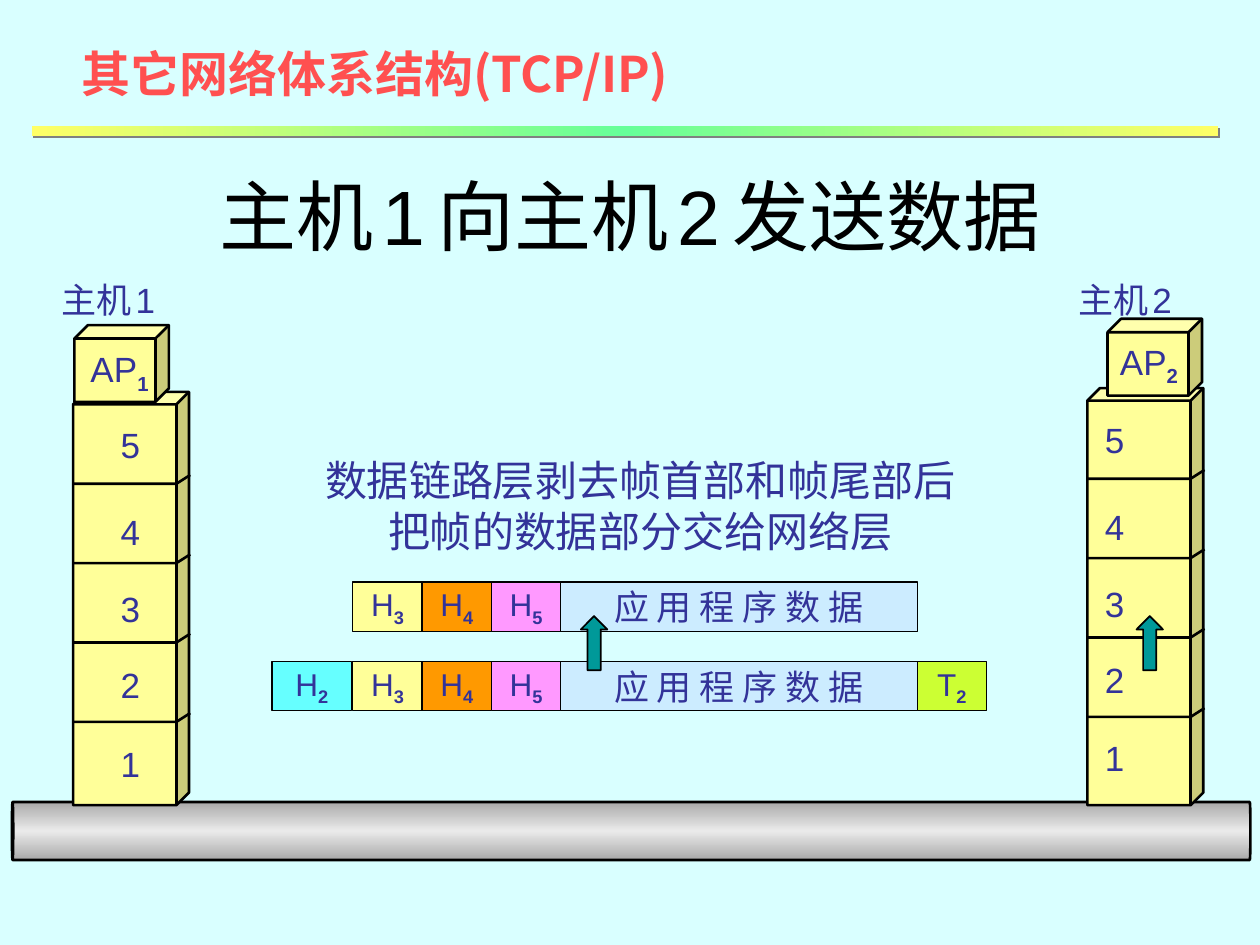
"""Build a slide on host 1 sending data to host 2 through the TCP/IP layers."""
from copy import deepcopy

from lxml import etree
from pptx import Presentation
from pptx.dml.color import RGBColor
from pptx.enum.shapes import MSO_SHAPE
from pptx.enum.text import MSO_ANCHOR, MSO_AUTO_SIZE, PP_ALIGN
from pptx.oxml.ns import qn
from pptx.util import Inches, Pt

RECTANGLE, CUBE, CAN, UP_ARROW = (
    MSO_SHAPE.RECTANGLE, MSO_SHAPE.CUBE, MSO_SHAPE.CAN, MSO_SHAPE.UP_ARROW)
LEFT, CENTER = PP_ALIGN.LEFT, PP_ALIGN.CENTER
MIDDLE = MSO_ANCHOR.MIDDLE
GROW = MSO_AUTO_SIZE.SHAPE_TO_FIT_TEXT

COLORS = {
    "background": "D9FFFF", "ink": "333399", "black": "000000", "heading": "FF5050",
    "block": "FFFF99", "orange": "FF9900", "pink": "FF99FF", "data": "CCECFF",
    "cyan": "66FFFF", "lime": "CCFF33", "arrow": "009999",
    "rule_edge": "FFFF66", "rule_middle": "66FF99",
    "cable_edge": "AAAAAA", "cable_middle": "EAEAEA", "shadow": "808080",
}
COLORS_RGB = {name: RGBColor.from_string(value) for name, value in COLORS.items()}


def add_block(shapes, kind, place, color, line_width):
    block = shapes.add_shape(kind, *[Inches(value) for value in place])
    block.shadow.inherit = False
    block.fill.solid()
    block.fill.fore_color.rgb = COLORS_RGB[color]
    block.line.color.rgb = COLORS_RGB["black"]
    block.line.width = Pt(line_width)
    return block


def write(box, text, size, align=LEFT, color="ink", font="Arial", gap=None):
    frame = box.text_frame
    frame.word_wrap = False
    for number, line in enumerate(text.split("\n")):
        para = frame.paragraphs[0] if number == 0 else frame.add_paragraph()
        para.alignment = align
        para.font.size = Pt(size)
        para.font.name = font
        para.font.color.rgb = COLORS_RGB[color]
        base, _, subscript = line.partition("_")
        for index, word in enumerate(base.split(" ") if gap else [base]):
            if index:
                space = para.add_run()
                space.text = " "
                space.font.size = Pt(gap)
            para.add_run().text = word
        if subscript:
            span = para.add_run()
            span.text = subscript
            span.font.bold = True
            span.font._element.set("baseline", "-25000")
    return frame


deck = Presentation()
deck.slide_width, deck.slide_height = Inches(10), Inches(7.5)
page = deck.slides.add_slide(deck.slide_layouts[6])
page.background.fill.solid()
page.background.fill.fore_color.rgb = COLORS_RGB["background"]
shapes = page.shapes

cable = add_block(shapes, CAN, (4.78, 1.68, 0.46, 9.83), "cable_edge", 1.5)
cable.rotation = 270
cable.adjustments[0] = 0.023
rule = add_block(shapes, RECTANGLE, (0.25, 1, 9.42, 0.08), "rule_edge", 0.75)
rule.line.fill.background()
for bar, name in ((cable, "cable"), (rule, "rule")):
    bar.fill.gradient()
    bar.fill.gradient_angle = 0
    stop_list = bar._element.spPr.find(".//" + qn("a:gsLst"))
    stop_list.insert(1, deepcopy(stop_list[0]))
    for stop, position, part in zip(
            bar.fill.gradient_stops, (0, 0.5, 1), ("edge", "middle", "edge")):
        stop.position = position
        stop.color.rgb = COLORS_RGB[f"{name}_{part}"]
effects = rule._element.spPr.find(qn("a:effectLst"))
shadow = etree.SubElement(
    effects, qn("a:outerShdw"), dist="17780", dir="2700000", algn="ctr", rotWithShape="0")
etree.SubElement(shadow, qn("a:srgbClr"), val=COLORS["shadow"])

hosts = [
    ("1", 0.58, 3.11, 0, 0.86, 0.39, (0.59, 2.58), (0.62, 2.71)),
    ("2", 8.63, 3.08, -0.04, 8.67, 8.46, (8.79, 2.53), (8.79, 2.65)),
]
texts = []
for host, left, top, shift, number_left, name_left, app_corner, app_text in hosts:
    tower = add_block(shapes, CUBE, (left, top, 0.92, 6.39 - top), "block", 1.5)
    tower.adjustments[0] = 0.108
    for index in range(4):
        height = 3.84 + 0.63 * index + shift
        outline = shapes.build_freeform(Inches(left), Inches(height))
        outline.add_line_segments(
            [(Inches(left + 0.82), Inches(height)),
             (Inches(left + 0.93), Inches(height - 0.07))], close=False)
        divider = outline.convert_to_shape()
        divider.shadow.inherit = False
        divider.fill.background()
        divider.line.color.rgb = COLORS_RGB["black"]
        divider.line.width = Pt(1.5)
    app = add_block(shapes, CUBE, (*app_corner, 0.75, 0.61), "block", 1.5)
    app.adjustments[0] = 0.176
    for level, number_top in zip("54321", (3.31, 4, 4.61, 5.22, 5.84)):
        texts.append(((number_left, number_top + shift, 0.35, 0.44), level, 20, {}))
    texts.append(((*app_text, 0.66, 0.48), f"AP_{host}", 20, {}))
    texts.append(((name_left, 2.16, 1.03, 0.44), f"主机 {host}", 20, {"gap": 10}))

texts.append(((2.48, 3.56, 5.2, 0.9),
              "数据链路层剥去帧首部和帧尾部后\n把帧的数据部分交给网络层", 24, {"align": CENTER}))
for place, text, size, style in texts:
    box = shapes.add_textbox(*[Inches(value) for value in place])
    write(box, text, size, **style).auto_size = GROW

title = shapes.add_textbox(Inches(0.75), Inches(1.08), Inches(8.5), Inches(1.25))
frame = write(title, "主机 1 向主机 2 发送数据", 44, CENTER, "black", gap=24)
frame.word_wrap = True
frame.vertical_anchor = MIDDLE

heading = shapes.add_textbox(Inches(0.55), Inches(0.3), Inches(5.27), Inches(0.57))
frame = write(heading, "其它网络体系结构(TCP/IP)", 28, color="heading", font="Noto Sans CJK SC")
frame.auto_size = GROW
frame.paragraphs[0].font.bold = True
frame.paragraphs[0].space_after = Pt(3)

packet = [
    (2.8, 0.55, "block", "H_3"), (3.35, 0.55, "orange", "H_4"),
    (3.9, 0.55, "pink", "H_5"), (4.45, 2.83, "data", "应 用 程 序 数 据"),
]
frame_ends = [(2.16, 0.63, "cyan", "H_2"), (7.28, 0.55, "lime", "T_2")]
for top, container, fields in (
        (4.62, shapes.add_group_shape().shapes, packet),
        (5.25, shapes, frame_ends),
        (5.25, shapes.add_group_shape().shapes, packet)):
    for left, width, color, text in fields:
        field = add_block(container, RECTANGLE, (left, top, width, 0.39), color, 0.75)
        size, font = (20, "Cabin") if color == "data" else (18, "Arial")
        write(field, text, size, CENTER, font=font).vertical_anchor = MIDDLE

arrows = shapes.add_group_shape().shapes
for left in (9.02, 4.61):
    arrow = add_block(arrows, UP_ARROW, (left, 4.89, 0.21, 0.43), "arrow", 1)
    arrow.adjustments[0], arrow.adjustments[1] = 0.5, 0.506

deck.save("out.pptx")
